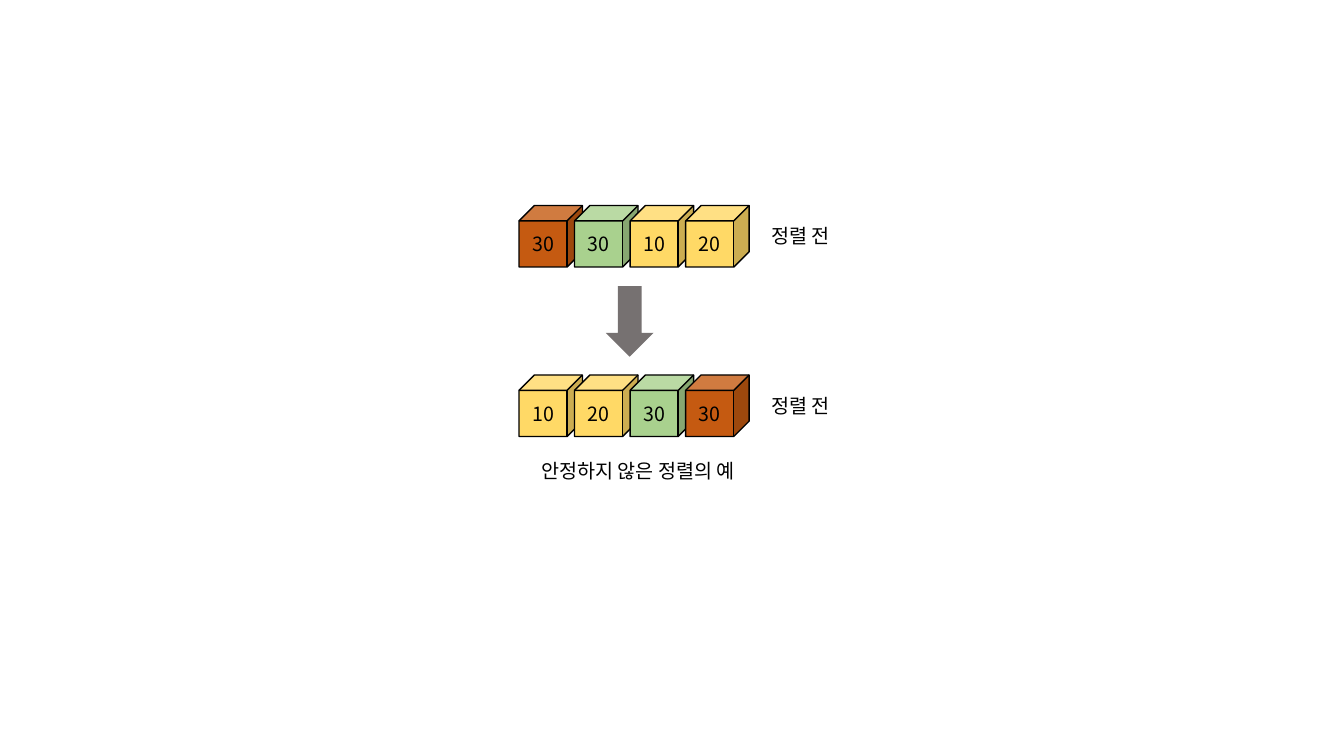
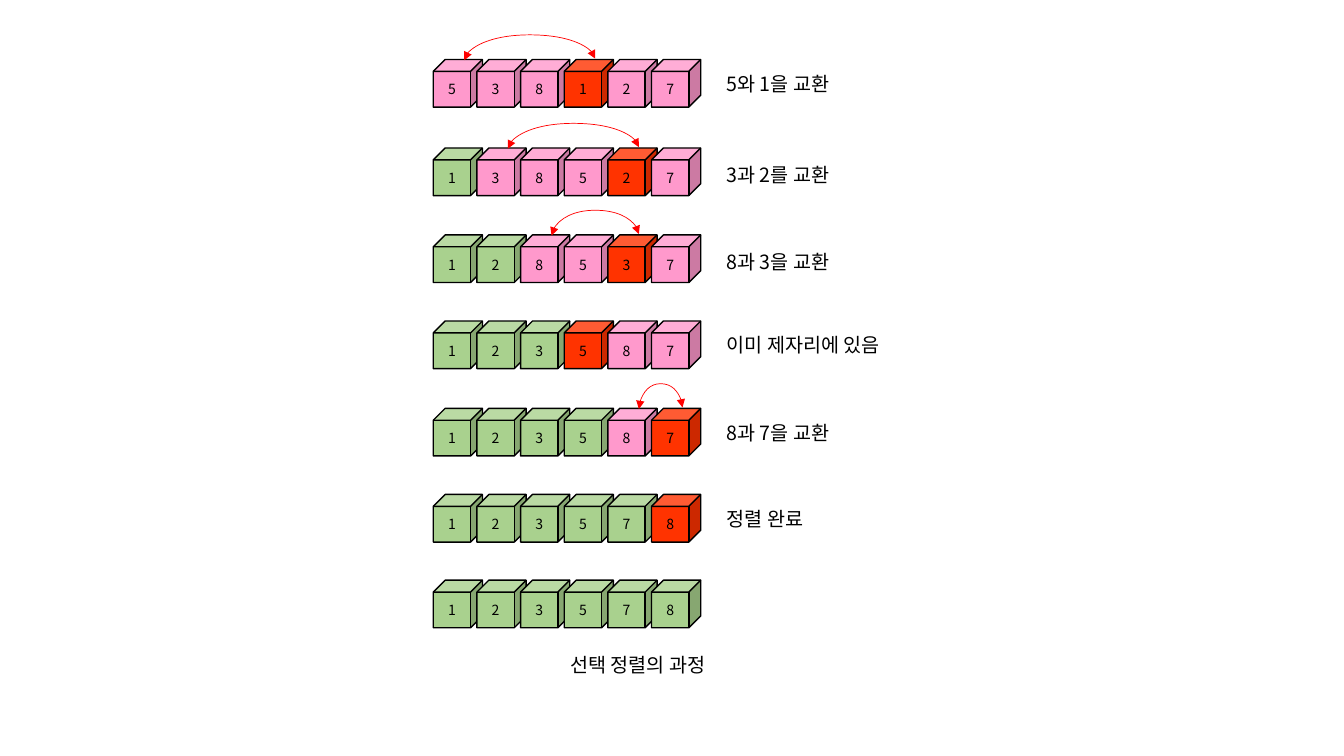
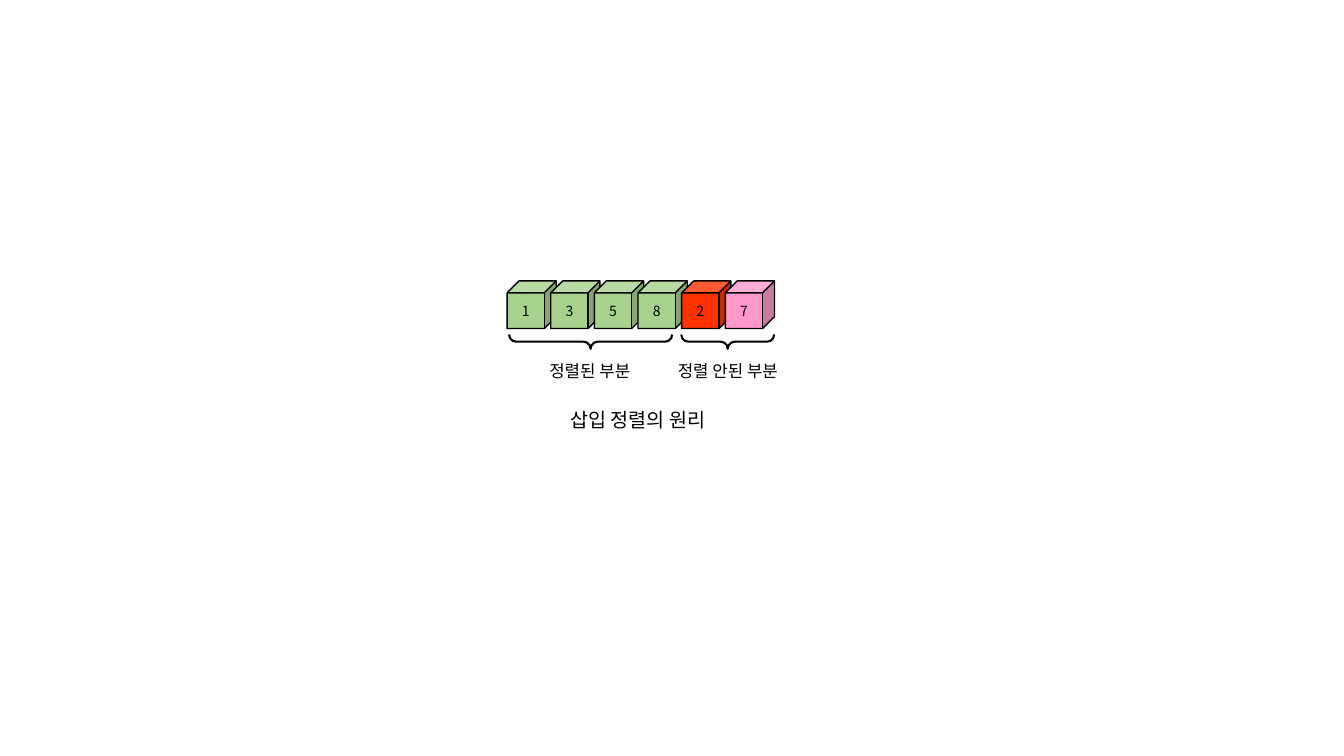
"""Draw three slides on stable, selection and insertion sorting."""
from dataclasses import dataclass

from lxml import etree
from pptx import Presentation
from pptx import util as u
from pptx.dml.color import RGBColor
from pptx.enum import shapes, text
from pptx.oxml.ns import qn
from pptx.shapes.autoshape import Shape
from pptx.slide import Slide

FONT = "Noto Sans CJK KR"
BLACK, RED, GREY = "000000", "FF0000", "767171"
FILLS = {"brown": "C55A11", "green": "A9D18E", "yellow": "FFD966",
         "pink": "FF99CC", "red": "FF3300"}
CENTER, LEFT = text.PP_ALIGN.CENTER, text.PP_ALIGN.LEFT
CAPTION_LEFT, CAPTION_WIDTH = 6.86, 18.44
LINE_HEIGHT = 0.86
ARC_RISE, ARC_DROP = 0.64, 0.04


@dataclass(frozen=True)
class CubeStyle:
    width: float
    height: float
    pitch: float
    size: int


@dataclass(frozen=True)
class Row:
    top: float
    values: list[int]
    colors: list[str]
    label: str = ""
    label_drop: float = 0.18
    swap: tuple[int, int] | None = None


@dataclass(frozen=True)
class Part:
    left: float
    width: float
    label: str
    label_left: float


LARGE = CubeStyle(1.6, 1.55, 1.4, 14)
SMALL = CubeStyle(1.24, 1.2, 1.1, 10)


def rgb(color: str) -> RGBColor:
    """Turn a hex string into a colour."""
    return RGBColor.from_string(color)


def add_run(tf: text, words: str, size: int, align: text.PP_ALIGN) -> None:
    """Write one formatted run into the first paragraph."""
    p = tf.paragraphs[0]
    p.alignment = align
    r = p.add_run()
    r.text = words
    r.font.size = u.Pt(size)
    r.font.name = FONT
    r.font.color.rgb = rgb(BLACK)
    ea = etree.SubElement(r.font._element, qn("a:ea"))
    ea.set("typeface", FONT)


def add_text(s: Slide, left: float, top: float, width: float, words: str,
             size: int = 14, align: text.PP_ALIGN = CENTER) -> None:
    """Add a wrapping text box that grows with its text."""
    box = s.shapes.add_textbox(u.Cm(left), u.Cm(top), u.Cm(width), u.Cm(LINE_HEIGHT))
    tf = box.text_frame
    tf.word_wrap = True
    tf.auto_size = text.MSO_AUTO_SIZE.SHAPE_TO_FIT_TEXT
    add_run(tf, words, size, align)


def add_shape(s: Slide, kind: shapes.MSO_SHAPE, left: float, top: float, width: float,
              height: float, fill: str | None, line: float = 0) -> Shape:
    """Add a preset shape without shadow."""
    sp = s.shapes.add_shape(kind, u.Cm(left), u.Cm(top), u.Cm(width), u.Cm(height))
    sp.shadow.inherit = False
    if fill:
        sp.fill.solid()
        sp.fill.fore_color.rgb = rgb(fill)
    else:
        sp.fill.background()
    if line:
        sp.line.color.rgb = rgb(BLACK)
        sp.line.width = u.Pt(line)
    else:
        sp.line.fill.background()
    return sp


def add_cubes(s: Slide, left: float, row: Row, style: CubeStyle) -> None:
    """Draw the numbered cubes of one row."""
    for i, (value, color) in enumerate(zip(row.values, row.colors, strict=True)):
        sp = add_shape(s, shapes.MSO_SHAPE.CUBE, left + i * style.pitch, row.top,
                       style.width, style.height, FILLS[color], 1)
        sp.text_frame.vertical_anchor = text.MSO_ANCHOR.MIDDLE
        add_run(sp.text_frame, str(value), style.size, CENTER)


def add_swap(s: Slide, left: float, row: Row, style: CubeStyle) -> None:
    """Draw a double-headed arc between the tops of two cubes."""
    first, second = row.swap
    span = (second - first) * style.pitch
    x = left + (first + second) / 2 * style.pitch + style.width * 0.63
    x0, x1 = x - ARC_DROP / 2, x + ARC_DROP / 2
    y0, y1 = row.top - span / 2, row.top + span / 2
    c = s.shapes.add_connector(shapes.MSO_CONNECTOR.CURVE,
                               u.Cm(x1), u.Cm(y1), u.Cm(x0), u.Cm(y0))
    c.line.color.rgb = rgb(RED)
    c.line.width = u.Pt(0.5)
    pr = c._element.spPr
    pr.find(qn("a:xfrm")).set("rot", "5400000")
    gd = etree.SubElement(pr.find(qn("a:prstGeom")).find(qn("a:avLst")), qn("a:gd"))
    gd.set("name", "adj1")
    gd.set("fmla", f"val {round(ARC_RISE / ARC_DROP * 100000)}")
    for end in ("a:headEnd", "a:tailEnd"):
        etree.SubElement(pr.find(qn("a:ln")), qn(end)).set("type", "triangle")
    etree.SubElement(pr, qn("a:effectLst"))


def add_part(s: Slide, part: Part) -> None:
    """Draw a brace below a group of cubes, with its label."""
    depth, middle = 0.36, 8.61
    sp = add_shape(s, shapes.MSO_SHAPE.LEFT_BRACE, part.left + (part.width - depth) / 2,
                   middle - part.width / 2, depth, part.width, None, 1.5)
    sp.rotation = 270
    sp.adjustments[0] = 0.49
    add_text(s, part.label_left, 8.97, 4.93, part.label, 12)


def stable_slide(s: Slide) -> None:
    """Show an unstable sort before and after."""
    rows = [
        Row(5.18, [30, 30, 10, 20], ["brown", "green", "yellow", "yellow"], "정렬 전", 0.35),
        Row(9.45, [10, 20, 30, 30], ["yellow", "yellow", "green", "brown"], "정렬 전", 0.35),
    ]
    for row in rows:
        add_cubes(s, 13.08, row, LARGE)
        add_text(s, 18.08, row.top + row.label_drop, 4.19, row.label)
    add_shape(s, shapes.MSO_SHAPE.DOWN_ARROW, 15.27, 7.21, 1.2, 1.78, GREY)
    add_text(s, CAPTION_LEFT, 11.43, CAPTION_WIDTH, "안정하지 않은 정렬의 예")


def selection_slide(s: Slide) -> None:
    """Show every step of a selection sort."""
    g, k, r = ["green"], ["pink"], ["red"]
    rows = [
        Row(1.5, [5, 3, 8, 1, 2, 7], k * 3 + r + k * 2, "5와 1을 교환", swap=(0, 3)),
        Row(3.73, [1, 3, 8, 5, 2, 7], g + k * 3 + r + k, "3과 2를 교환", 0.25, (1, 4)),
        Row(5.92, [1, 2, 8, 5, 3, 7], g * 2 + k * 2 + r + k, "8과 3을 교환", 0.25, (2, 4)),
        Row(8.09, [1, 2, 3, 5, 8, 7], g * 3 + r + k * 2, "이미 제자리에 있음"),
        Row(10.29, [1, 2, 3, 5, 8, 7], g * 4 + k + r, "8과 7을 교환", swap=(4, 5)),
        Row(12.46, [1, 2, 3, 5, 7, 8], g * 5 + r, "정렬 완료"),
        Row(14.62, [1, 2, 3, 5, 7, 8], g * 6),
    ]
    left = 10.92
    for row in rows:
        add_cubes(s, left, row, SMALL)
        if row.swap:
            add_swap(s, left, row, SMALL)
        if row.label:
            add_text(s, 18.06, row.top + row.label_drop, 5.72, row.label, align=LEFT)
    add_text(s, CAPTION_LEFT, 16.33, CAPTION_WIDTH, "선택 정렬의 과정")


def insertion_slide(s: Slide) -> None:
    """Show the sorted and unsorted parts of an insertion sort."""
    row = Row(7.08, [1, 3, 5, 8, 2, 7], ["green"] * 4 + ["red", "pink"])
    add_cubes(s, 12.78, row, SMALL)
    for part in (Part(12.83, 4.11, "정렬된 부분", 12.4),
                 Part(17.17, 2.34, "정렬 안된 부분", 15.88)):
        add_part(s, part)
    add_text(s, CAPTION_LEFT, 10.16, CAPTION_WIDTH, "삽입 정렬의 원리")


def main() -> None:
    """Build and save the slides."""
    prs = Presentation()
    prs.slide_width, prs.slide_height = u.Cm(33.87), u.Cm(19.05)
    for build in (stable_slide, selection_slide, insertion_slide):
        build(prs.slides.add_slide(prs.slide_layouts[6]))
    prs.save("out.pptx")


main()
